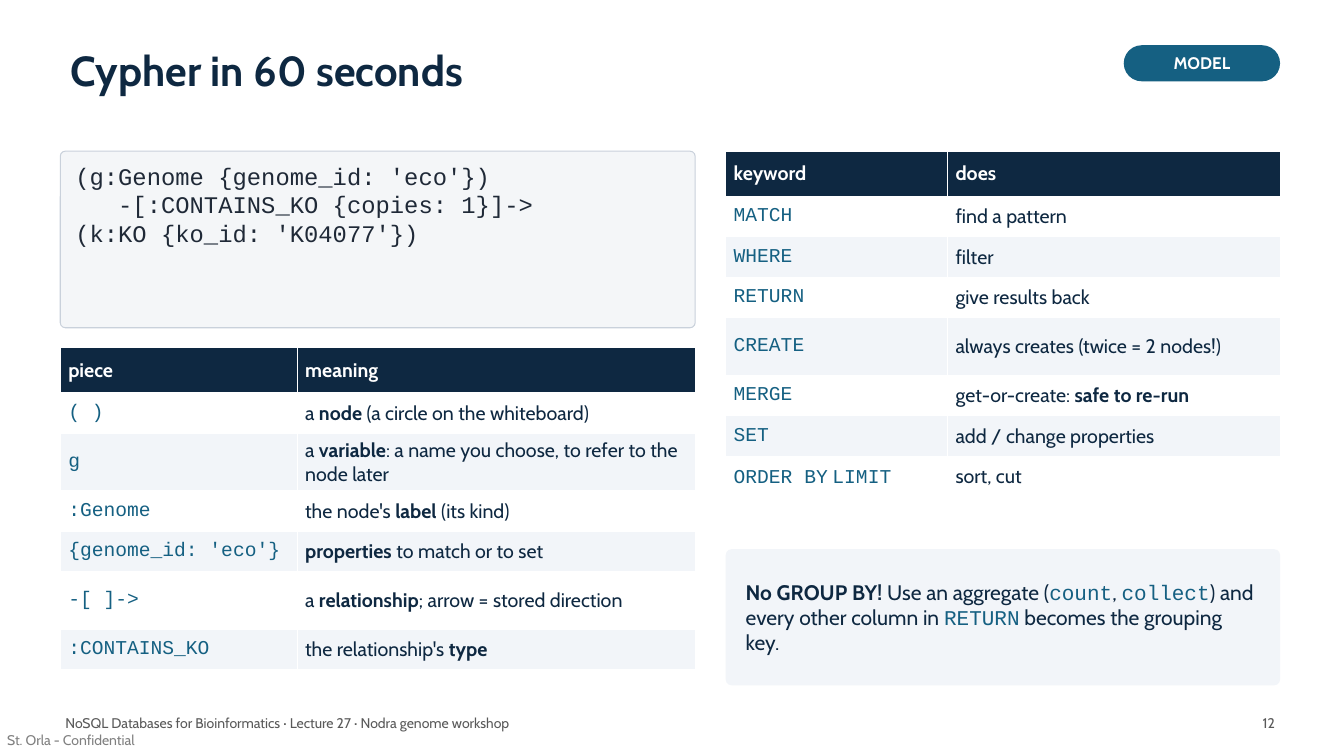
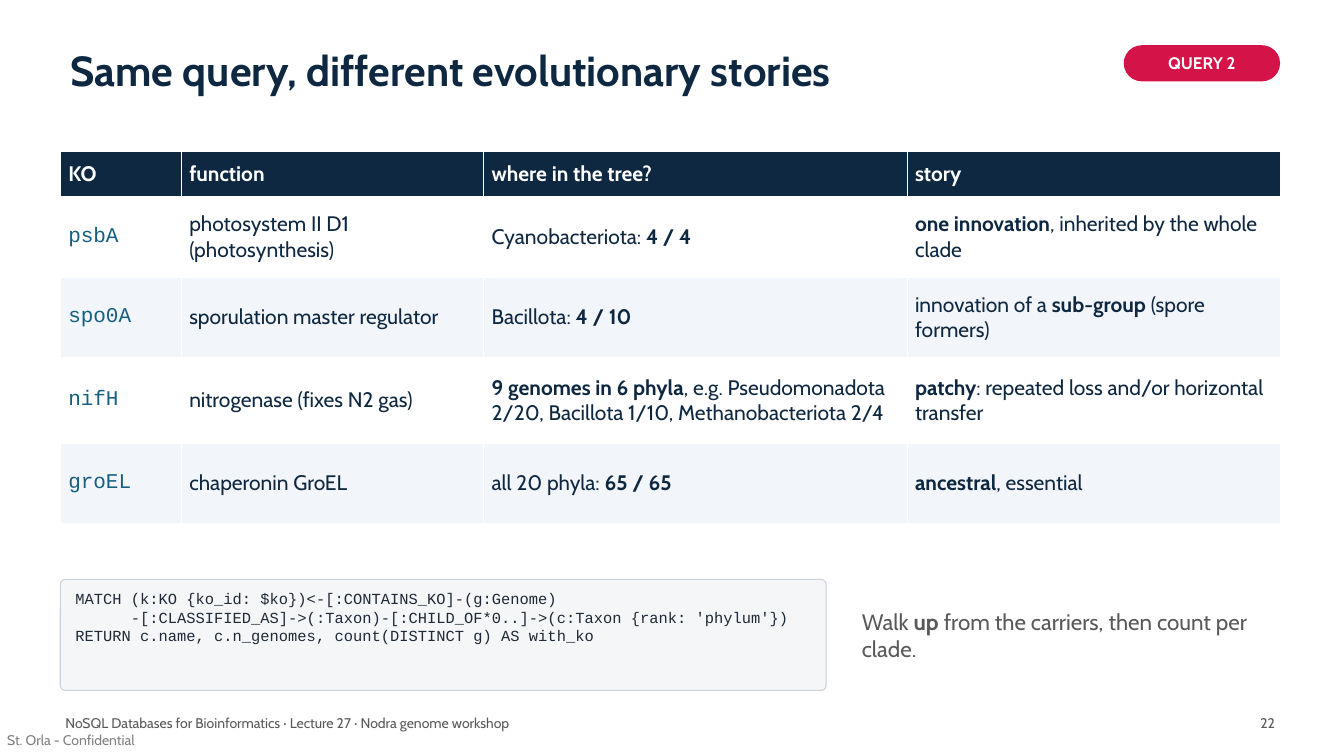
from dataclasses import dataclass

from lxml.etree import SubElement
from pptx import Presentation
from pptx.dml.color import RGBColor
from pptx.enum.shapes import MSO_SHAPE
from pptx.enum.text import MSO_ANCHOR, PP_ALIGN
from pptx.oxml.ns import qn
from pptx.util import Cm, Pt

# Content: **bold**, `code`; boxes are (left, top, width, height) in cm
CONFIDENTIAL = "St. Orla - Confidential"
FOOTER = "NoSQL Databases for Bioinformatics · Lecture 27 · Nodra genome workshop"

CYPHER = {
    "title": "Cypher in 60 seconds",
    "tag": "MODEL",
    "tag_color": "156082",
    "number": 12,
    "code": {
        "box": (1.52, 3.81, 16, 4.45),
        "size": 17,
        "lines": [
            "(g:Genome {genome_id: 'eco'})",
            "   -[:CONTAINS_KO {copies: 1}]->",
            "(k:KO {ko_id: 'K04077'})",
        ],
    },
    "tables": [
        {
            "at": (1.52, 8.76),
            "columns": (5.97, 10.03),
            "heights": (1.14, 1.02, 1.45, 1.02, 1.02, 1.45, 1.02),
            "size": 14,
            "rows": [
                ("piece", "meaning"),
                ("`( )`", "a **node** (a circle on the whiteboard)"),
                ("`g`", "a **variable**: a name you choose, to refer to the node later"),
                ("`:Genome`", "the node's **label** (its kind)"),
                ("`{genome_id: 'eco'}`", "**properties** to match or to set"),
                ("`-[ ]->`", "a **relationship**; arrow = stored direction"),
                ("`:CONTAINS_KO`", "the relationship's **type**"),
            ],
        },
        {
            "at": (18.29, 3.81),
            "columns": (5.59, 8.38),
            "heights": (1.14, 1.02, 1.02, 1.02, 1.45, 1.02, 1.02, 1.02),
            "size": 14,
            "rows": [
                ("keyword", "does"),
                ("`MATCH`", "find a pattern"),
                ("`WHERE`", "filter"),
                ("`RETURN`", "give results back"),
                ("`CREATE`", "always creates (twice = 2 nodes!)"),
                ("`MERGE`", "get-or-create: **safe to re-run**"),
                ("`SET`", "add / change properties"),
                ("`ORDER BY` `LIMIT`", "sort, cut"),
            ],
        },
    ],
    "callout": {
        "box": (18.29, 13.84, 13.97, 3.43),
        "text": "**No GROUP BY!** Use an aggregate (`count`, `collect`) and every "
                "other column in `RETURN` becomes the grouping key.",
    },
}

STORIES = {
    "title": "Same query, different evolutionary stories",
    "tag": "QUERY 2",
    "tag_color": "D41348",
    "number": 22,
    "code": {
        "box": (1.52, 14.6, 19.3, 2.8),
        "size": 11,
        "lines": [
            "MATCH (k:KO {ko_id: $ko})<-[:CONTAINS_KO]-(g:Genome)",
            "      -[:CLASSIFIED_AS]->(:Taxon)-[:CHILD_OF*0..]->(c:Taxon {rank: 'phylum'})",
            "RETURN c.name, c.n_genomes, count(DISTINCT g) AS with_ko",
        ],
    },
    "tables": [
        {
            "at": (1.52, 3.81),
            "columns": (3.05, 7.62, 10.67, 9.4),
            "heights": (1.14, 2.03, 2.03, 2.16, 2.03),
            "size": 15,
            "rows": [
                ("KO", "function", "where in the tree?", "story"),
                ("`psbA`", "photosystem II D1 (photosynthesis)",
                 "Cyanobacteriota: **4 / 4**",
                 "**one innovation**, inherited by the whole clade"),
                ("`spo0A`", "sporulation master regulator",
                 "Bacillota: **4 / 10**",
                 "innovation of a **sub-group** (spore formers)"),
                ("`nifH`", "nitrogenase (fixes N2 gas)",
                 "**9 genomes in 6 phyla**, e.g. Pseudomonadota 2/20, "
                 "Bacillota 1/10, Methanobacteriota 2/4",
                 "**patchy**: repeated loss and/or horizontal transfer"),
                ("`groEL`", "chaperonin GroEL",
                 "all 20 phyla: **65 / 65**", "**ancestral**, essential"),
            ],
        },
    ],
    "takeaway": {
        "box": (21.59, 14.6, 10.67, 2.8),
        "text": "Walk **up** from the carriers, then count per clade.",
    },
}


@dataclass(frozen=True)
class Theme:
    sans: str = "Cabin"
    mono: str = "Courier New"
    navy: str = "0E2841"
    teal: str = "156082"
    white: str = "FFFFFF"
    pale: str = "F2F5F9"
    code_fill: str = "F4F6F8"
    code_line: str = "C9D1DB"
    code_text: str = "1F2937"
    muted: str = "595959"
    faint: str = "808080"
    title_size: int = 30
    takeaway_size: int = 16
    callout_size: int = 15
    tag_size: int = 12
    small_size: int = 10


THEME = Theme()
SMALL_INSETS = (0.13, 0.08)


def rgb(color):
    return RGBColor.from_string(color)


def styled_pieces(line):
    """Yield (text, is_code, is_bold) for each marked part of a line."""
    for i, part in enumerate(line.split("`")):
        if i % 2:
            yield part, True, False
        else:
            for j, piece in enumerate(part.split("**")):
                yield piece, False, j % 2 == 1


def write(frame, text, *, size, color=THEME.navy, font=THEME.sans, bold=False,
          align=PP_ALIGN.LEFT, spacing=None):
    for index, line in enumerate(text.split("\n")):
        paragraph = frame.add_paragraph() if index else frame.paragraphs[0]
        paragraph.alignment = align
        if spacing:
            paragraph.line_spacing = spacing
        for piece, is_code, is_bold in styled_pieces(line):
            if not piece:
                continue
            run = paragraph.add_run()
            run.text = piece
            run.font.size = Pt(size)
            run.font.name = THEME.mono if is_code else font
            run.font.bold = bold or is_bold
            run.font.color.rgb = rgb(THEME.teal if is_code else color)


def set_frame(frame, insets, anchor):
    frame.word_wrap = True
    frame.vertical_anchor = anchor
    frame.margin_left = frame.margin_right = Cm(insets[0])
    frame.margin_top = frame.margin_bottom = Cm(insets[1])


def add_label(slide, box, text, *, insets=SMALL_INSETS, anchor=MSO_ANCHOR.TOP, **style):
    label = slide.shapes.add_textbox(*map(Cm, box))
    set_frame(label.text_frame, insets, anchor)
    write(label.text_frame, text, **style)


def add_panel(slide, box, text, *, fill, radius, line=None, insets=SMALL_INSETS,
              anchor=MSO_ANCHOR.MIDDLE, **style):
    panel = slide.shapes.add_shape(MSO_SHAPE.ROUNDED_RECTANGLE, *map(Cm, box))
    panel.shadow.inherit = False
    panel.adjustments[0] = radius / min(box[2:])
    panel.fill.solid()
    panel.fill.fore_color.rgb = rgb(fill)
    if line:
        panel.line.color.rgb = rgb(line)
        panel.line.width = Pt(0.75)
    else:
        panel.line.fill.background()
    set_frame(panel.text_frame, insets, anchor)
    write(panel.text_frame, text, **style)


def set_borders(cell):
    properties = cell._tc.get_or_add_tcPr()
    for side in ("a:lnL", "a:lnR", "a:lnT", "a:lnB"):
        border = SubElement(properties, qn(side), w=str(Pt(1)))
        SubElement(SubElement(border, qn("a:solidFill")), qn("a:srgbClr"), val=THEME.white)


def add_grid(slide, at, columns, heights, size, rows):
    extent = (*at, sum(columns), sum(heights))
    grid = slide.shapes.add_table(len(rows), len(columns), *map(Cm, extent)).table
    grid.horz_banding = False
    for column, width in zip(grid.columns, columns):
        column.width = Cm(width)
    for r, (row, height) in enumerate(zip(rows, heights)):
        grid.rows[r].height = Cm(height)
        header = r == 0
        fill = THEME.navy if header else (THEME.pale, THEME.white)[r % 2]
        for c, text in enumerate(row):
            cell = grid.cell(r, c)
            set_borders(cell)
            cell.fill.solid()
            cell.fill.fore_color.rgb = rgb(fill)
            cell.vertical_anchor = MSO_ANCHOR.MIDDLE
            cell.margin_left = cell.margin_right = Cm(0.2)
            cell.margin_top = cell.margin_bottom = Cm(0.1)
            write(cell.text_frame, text, size=size, bold=header,
                  color=THEME.white if header else THEME.navy)


# Title, tag and footers that every slide carries
def add_frame(slide, content):
    add_label(slide, (0.18, 18.44, 5, 0.43), CONFIDENTIAL, insets=(0, 0),
              size=THEME.small_size, color=THEME.faint)
    add_label(slide, (1.52, 0.76, 26.42, 2.16), content["title"], insets=(0.25, 0.13),
              anchor=MSO_ANCHOR.MIDDLE, size=THEME.title_size, bold=True, spacing=0.9)
    add_label(slide, (1.52, 17.93, 24.13, 0.76), FOOTER,
              size=THEME.small_size, color=THEME.muted)
    add_label(slide, (29.72, 17.93, 2.54, 0.76), str(content["number"]),
              size=THEME.small_size, color=THEME.muted, align=PP_ALIGN.RIGHT)
    add_panel(slide, (28.32, 1.14, 3.94, 0.91), content["tag"],
              fill=content["tag_color"], radius=0.46, size=THEME.tag_size,
              color=THEME.white, bold=True, align=PP_ALIGN.CENTER)


def build_slide(deck, content):
    slide = deck.slides.add_slide(deck.slide_layouts[6])
    add_frame(slide, content)
    code = content["code"]
    add_panel(slide, code["box"], "\n".join(code["lines"]), fill=THEME.code_fill,
              line=THEME.code_line, radius=0.13, insets=(0.34, 0.22),
              anchor=MSO_ANCHOR.TOP, size=code["size"], font=THEME.mono,
              color=THEME.code_text)
    for table in content["tables"]:
        add_grid(slide, **table)
    if "callout" in content:
        add_panel(slide, **content["callout"], fill=THEME.pale, radius=0.15,
                  insets=(0.46, 0.2), size=THEME.callout_size)
    if "takeaway" in content:
        add_label(slide, **content["takeaway"], anchor=MSO_ANCHOR.MIDDLE,
                  size=THEME.takeaway_size, color=THEME.muted)


def main():
    deck = Presentation()
    deck.slide_width, deck.slide_height = Cm(33.87), Cm(19.05)
    for content in (CYPHER, STORIES):
        build_slide(deck, content)
    deck.save("out.pptx")


if __name__ == "__main__":
    main()
